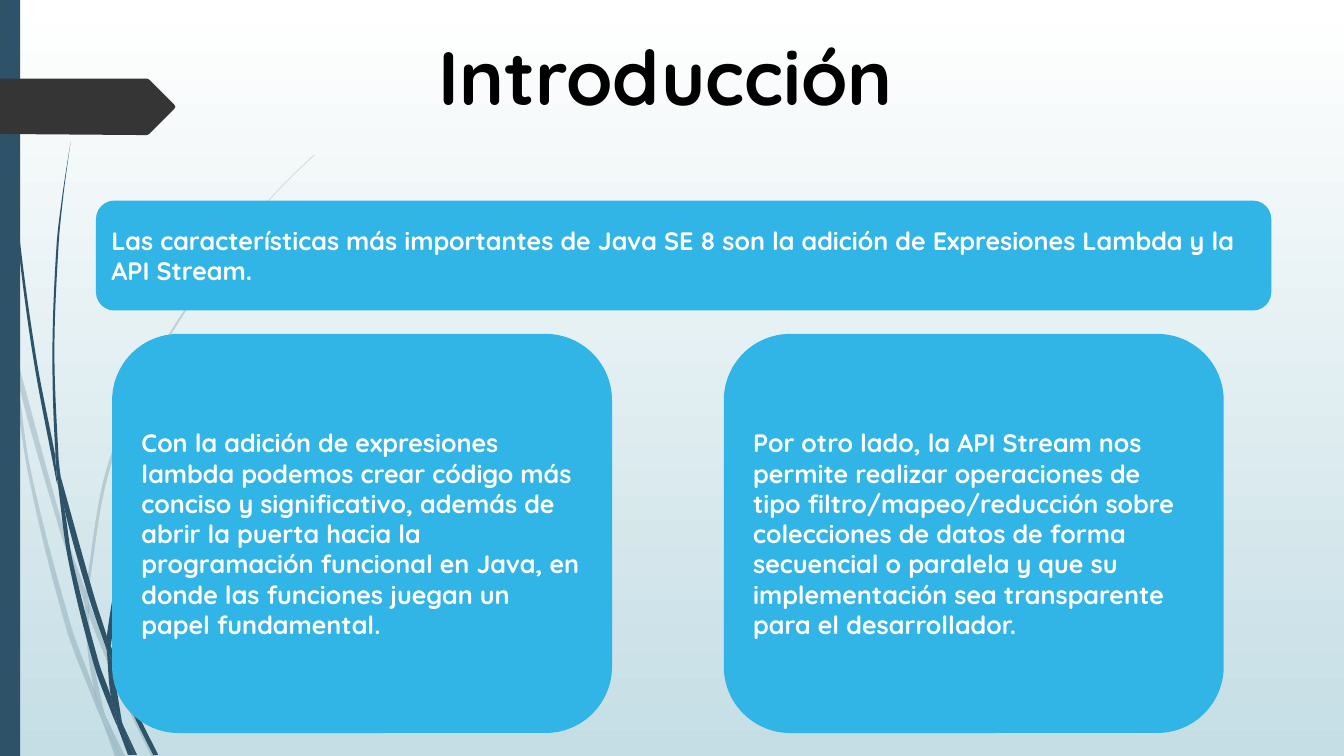
from dataclasses import dataclass
from math import dist

from lxml import etree
from pptx import Presentation
from pptx.dml.color import RGBColor
from pptx.enum.shapes import MSO_SHAPE
from pptx.enum.text import MSO_ANCHOR, MSO_AUTO_SIZE, PP_ALIGN
from pptx.oxml.ns import qn
from pptx.util import Pt

RECTANGLE = MSO_SHAPE.RECTANGLE
ROUNDED = MSO_SHAPE.ROUNDED_RECTANGLE
MIDDLE = MSO_ANCHOR.MIDDLE
FIT_SHAPE = MSO_AUTO_SIZE.SHAPE_TO_FIT_TEXT
LEFT = PP_ALIGN.LEFT
CENTER = PP_ALIGN.CENTER

FONT = "Quicksand"
NAVY = "2E5369"
CHARCOAL = "353535"
SKY = "31B4E6"
WHITE = "FFFFFF"
BLACK = "000000"
MIST = "C5DEE5"
GRID = 0.72

Point = tuple[float, float]


@dataclass
class Blade:
    outward: list[Point]
    back: list[Point]


@dataclass
class Card:
    left: float
    top: float
    width: float
    height: float
    text: str


FAINT_BLADES = [
    Blade([(11, 350), (9, 322), (0, 282)], [(0, 299), (10, 344), (11, 350)]),
    Blade([(14, 345), (17, 376), (58, 522), (84, 599)],
          [(85, 586), (62, 520), (14, 345)]),
    Blade([(88, 596), (88, 610), (123, 694), (150, 750)],
          [(155, 750), (127, 692), (92, 607), (88, 596)]),
    Blade([(105, 711), (119, 750)], [(124, 750), (105, 711)]),
    Blade([(11, 350), (28, 470), (65, 621), (92, 693), (101, 714)],
          [(101, 714), (99, 707), (93, 683), (70, 619), (31, 469), (17, 376), (11, 350)]),
    Blade([(84, 599), (87, 646), (93, 683), (96, 692), (105, 711)],
          [(105, 711), (103, 706), (91, 646), (88, 610), (88, 608), (84, 599)]),
    Blade([(312, 153), (289, 175), (268, 197), (228, 244), (158, 348), (107, 461),
           (85, 584), (85, 586), (88, 596)],
          [(88, 596), (88, 584), (110, 462), (160, 349), (229, 245), (268, 198),
           (290, 175), (312, 154)]),
    Blade([(101, 714), (114, 750)], [(119, 750), (101, 714)]),
    Blade([(85, 586), (84, 599), (88, 608), (88, 610)], [(88, 596), (85, 586)]),
    Blade([(93, 683), (99, 707), (101, 714), (119, 750)],
          [(119, 750), (105, 711), (96, 692), (93, 683)]),
]

DARK_BLADES = [
    Blade([(3, 0), (4, 48), (7, 110), (17, 233), (33, 355), (56, 477), (57, 481)],
          [(55, 457), (55, 453), (36, 355), (19, 232), (8, 109), (5, 48), (4, 0)]),
    Blade([(60, 472), (64, 505), (88, 592), (106, 645)],
          [(106, 633), (106, 631), (93, 590), (60, 472)]),
    Blade([(110, 641), (111, 656), (132, 708), (152, 749)],
          [(157, 749), (136, 706), (113, 649), (110, 641)]),
    Blade([(57, 477), (68, 557), (93, 659), (111, 708), (117, 722)],
          [(116, 717), (110, 691), (98, 657), (72, 556), (64, 505), (57, 477)]),
    Blade([(70, 141), (62, 193), (56, 245), (52, 349), (55, 449), (60, 472)],
          [(60, 472), (58, 453), (54, 349), (58, 245), (63, 193), (70, 141)]),
    Blade([(122, 719), (133, 749)], [(136, 749), (122, 719)]),
    Blade([(55, 449), (55, 453), (57, 477), (64, 505)], [(60, 472), (55, 449)]),
    Blade([(260, 344), (245, 358), (231, 373), (204, 405), (156, 474), (122, 551),
           (106, 631), (110, 641)],
          [(111, 633), (125, 552), (158, 476), (205, 406), (231, 374), (245, 359),
           (261, 344)]),
    Blade([(117, 722), (127, 749)], [(131, 749), (117, 722)]),
    Blade([(106, 645), (110, 691), (116, 706), (122, 719)],
          [(121, 716), (111, 656), (109, 651), (106, 645)]),
    Blade([(106, 631), (106, 645), (109, 651), (111, 656)], [(110, 641), (106, 631)]),
    Blade([(110, 691), (116, 717), (117, 722), (130, 749)],
          [(133, 749), (122, 719), (116, 706), (110, 691)]),
]

MARKER = [(173, 108), (148, 133), (146, 134), (136, 134), (0, 133), (0, 78),
          (136, 78), (146, 78), (148, 79), (173, 104), (174, 106)]

CARDS = [
    Card(68.6, 143.3, 839.5, 78.5,
         "Las características más importantes de Java SE 8 son la adición de "
         "Expresiones Lambda y la API Stream."),
    Card(80.1, 238.5, 357.1, 285.1,
         "Con la adición de expresiones lambda podemos crear código más conciso "
         "y significativo, además de abrir la puerta hacia la programación "
         "funcional en Java, en donde las funciones juegan un papel fundamental."),
    Card(517, 238.5, 357.1, 285.1,
         "Por otro lado, la API Stream nos permite realizar operaciones de tipo "
         "filtro/mapeo/reducción sobre colecciones de datos de forma secuencial "
         "o paralela y que su implementación sea transparente para el "
         "desarrollador."),
]


def color(value: str) -> RGBColor:
    return RGBColor.from_string(value)


def paint(shape, fill: str, opacity: int = 100) -> None:
    shape.shadow.inherit = False
    shape.line.fill.background()
    shape.fill.solid()
    shape.fill.fore_color.rgb = color(fill)
    if opacity < 100:
        tone = shape.fill._xPr.find(qn("a:solidFill"))[0]
        etree.SubElement(tone, qn("a:alpha"), val=str(opacity * 1000))


def curve_controls(knots: list[Point]) -> list[tuple[Point, Point]]:
    slopes = []
    for index in range(len(knots)):
        near = knots[max(index - 1, 0):index + 2]
        length = sum(dist(a, b) for a, b in zip(near, near[1:]))
        slopes.append([(near[-1][axis] - near[0][axis]) / length for axis in (0, 1)])
    controls = []
    for index, (start, end) in enumerate(zip(knots, knots[1:])):
        third = dist(start, end) / 3
        leave, arrive = slopes[index], slopes[index + 1]
        controls.append(((start[0] + leave[0] * third, start[1] + leave[1] * third),
                         (end[0] - arrive[0] * third, end[1] - arrive[1] * third)))
    return controls


def draw_outline(slide, points: list[Point], fill: str, opacity: int = 100):
    corners = [(Pt(x * GRID), Pt(y * GRID)) for x, y in points]
    builder = slide.shapes.build_freeform(*corners[0])
    builder.add_line_segments(corners[1:], close=True)
    shape = builder.convert_to_shape()
    paint(shape, fill, opacity)
    return shape


def draw_blade(slide, blade: Blade, opacity: int) -> None:
    pointed = blade.outward[-1] == blade.back[0]
    outline = blade.outward + blade.back[pointed:]
    shape = draw_outline(slide, outline, NAVY, opacity)
    joint = [] if pointed else [None]
    controls = curve_controls(blade.outward) + joint + curve_controls(blade.back)
    segments = list(shape._element.iter(qn("a:lnTo")))
    for segment, handles in zip(segments, controls):
        if handles is None:
            continue
        curve = etree.Element(qn("a:cubicBezTo"))
        for x, y in handles:
            etree.SubElement(curve, qn("a:pt"), x=str(Pt(x * GRID) - shape.left),
                             y=str(Pt(y * GRID) - shape.top))
        curve.append(segment[0])
        segment.getparent().replace(segment, curve)


def write(paragraph, text: str, size: float, tone: str, alignment: PP_ALIGN) -> None:
    paragraph.add_run().text = text
    paragraph.alignment = alignment
    paragraph.font.name = FONT
    paragraph.font.size = Pt(size)
    paragraph.font.bold = True
    paragraph.font.color.rgb = color(tone)


def draw_title(slide) -> None:
    box = slide.shapes.add_textbox(Pt(300.2), Pt(18), Pt(350.6), Pt(72.7))
    box.text_frame.word_wrap = False
    box.text_frame.auto_size = FIT_SHAPE
    paragraph = box.text_frame.paragraphs[0]
    write(paragraph, "Introducción", 54, BLACK, CENTER)
    properties = paragraph.runs[0]._r.get_or_add_rPr()
    outline = etree.SubElement(properties, qn("a:ln"), w=str(Pt(0.75)))
    fill = etree.SubElement(outline, qn("a:solidFill"))
    etree.SubElement(fill, qn("a:srgbClr"), val=WHITE)


def draw_card(slide, card: Card) -> None:
    shape = slide.shapes.add_shape(
        ROUNDED, Pt(card.left), Pt(card.top), Pt(card.width), Pt(card.height))
    paint(shape, SKY)
    shape.text_frame.word_wrap = True
    shape.text_frame.vertical_anchor = MIDDLE
    write(shape.text_frame.paragraphs[0], card.text, 18, WHITE, LEFT)


def main() -> None:
    presentation = Presentation()
    presentation.slide_width, presentation.slide_height = Pt(960), Pt(540)
    slide = presentation.slides.add_slide(presentation.slide_layouts[6])
    background = slide.background.fill
    background.gradient()
    background.gradient_angle = 270
    for stop, tone in zip(background.gradient_stops, (WHITE, MIST)):
        stop.color.rgb = color(tone)
    for blades, opacity in ((FAINT_BLADES, 20), (DARK_BLADES, 100)):
        for blade in blades:
            draw_blade(slide, blade, opacity)
    bar = slide.shapes.add_shape(RECTANGLE, Pt(0), Pt(0), Pt(14.4), Pt(540))
    paint(bar, NAVY)
    draw_outline(slide, MARKER, CHARCOAL)
    draw_title(slide)
    for card in CARDS:
        draw_card(slide, card)
    presentation.save("out.pptx")


if __name__ == "__main__":
    main()
